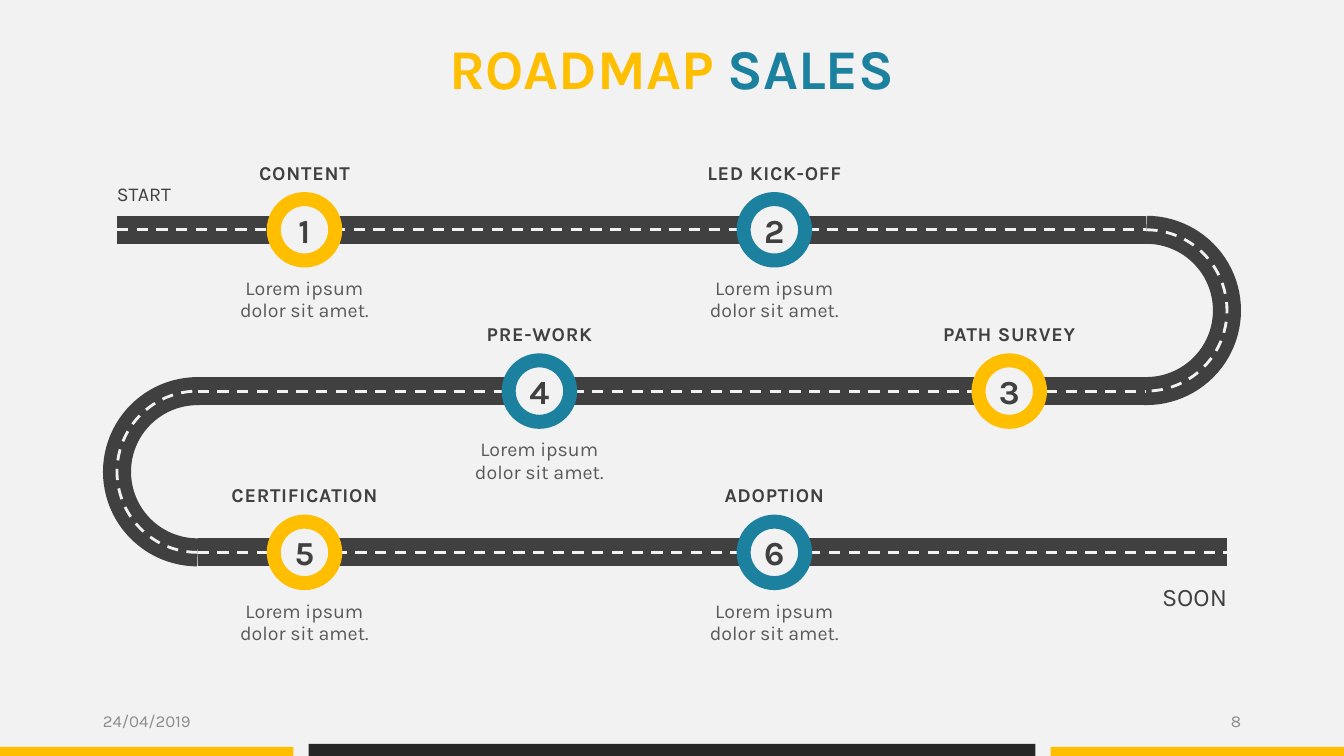
"""Build the winding sales roadmap slide."""
from dataclasses import dataclass
from typing import Optional

from lxml.etree import SubElement
from pptx import Presentation
from pptx.dml.color import RGBColor
from pptx.dml.line import LineFormat
from pptx.enum.dml import MSO_LINE_DASH_STYLE as Dash
from pptx.enum.shapes import MSO_CONNECTOR, MSO_SHAPE as Shape
from pptx.enum.text import MSO_ANCHOR as Anchor, PP_ALIGN as Align
from pptx.oxml.ns import qn
from pptx.slide import Slide
from pptx.text.text import TextFrame
from pptx.util import Inches, Pt


@dataclass(frozen=True)
class Theme:
    font: str = "Karla"
    paper: str = "F2F2F2"
    yellow: str = "FFBE00"
    teal: str = "1C819E"
    asphalt: str = "404040"
    black: str = "262626"
    body: str = "595959"
    muted: str = "8B8B8B"
    title_size: int = 40
    number_size: int = 24
    soon_size: int = 18
    text_size: int = 14
    footer_size: int = 12


@dataclass(frozen=True)
class Grid:
    width: float = 13.33
    height: float = 7.5
    first_column: float = 3.02
    column_pitch: float = 2.33
    first_row: float = 2.28
    row_pitch: float = 1.6
    road_margin: float = 1.16

    def x(self, column: int) -> float:
        return self.first_column + column * self.column_pitch

    def y(self, row: int) -> float:
        return self.first_row + row * self.row_pitch

    @property
    def road_end(self) -> float:
        return self.width - self.road_margin

    @property
    def bend_radius(self) -> float:
        return self.row_pitch / 2


@dataclass(frozen=True)
class Box:
    left: float
    top: float
    width: float
    height: float

    def emu(self) -> tuple[int, ...]:
        return tuple(Inches(v) for v in (self.left, self.top, self.width, self.height))


@dataclass(frozen=True)
class Stop:
    number: int
    label: str
    column: int
    row: int
    color: str
    detail: str = "Lorem ipsum dolor sit amet."


@dataclass(frozen=True)
class RoadLayer:
    color: str
    width: float
    dash: Optional[Dash] = None


THEME = Theme()
GRID = Grid()
ROAD_LAYERS = (
    RoadLayer(THEME.asphalt, 20),
    RoadLayer(THEME.paper, 2, Dash.DASH),
)
STOPS = (
    Stop(1, "CONTENT", 0, 0, THEME.yellow),
    Stop(2, "LED KICK-OFF", 2, 0, THEME.teal),
    Stop(3, "PATH SURVEY", 3, 1, THEME.yellow, ""),
    Stop(4, "PRE-WORK", 1, 1, THEME.teal),
    Stop(5, "CERTIFICATION", 0, 2, THEME.yellow),
    Stop(6, "ADOPTION", 2, 2, THEME.teal),
)


def fill_text(frame: TextFrame, runs: list[tuple[str, str]], *, size: float,
              bold: bool = False, align: Align = Align.LEFT, anchor: Anchor = Anchor.TOP,
              leading: Optional[float] = None, tracking: float = 0) -> None:
    frame.word_wrap = True
    frame.vertical_anchor = anchor
    frame.margin_left = frame.margin_right = frame.margin_top = frame.margin_bottom = 0
    paragraph = frame.paragraphs[0]
    paragraph.alignment = align
    if leading:
        paragraph.line_spacing = Pt(leading)
    for words, color in runs:
        run = paragraph.add_run()
        run.text = words
        run.font.name, run.font.size, run.font.bold = THEME.font, Pt(size), bold
        run.font.color.rgb = RGBColor.from_string(color)
        if tracking:
            run.font._element.set("spc", str(round(tracking * 100)))


def add_text(slide: Slide, box: Box, text: str, color: str, **style) -> None:
    fill_text(slide.shapes.add_textbox(*box.emu()).text_frame, [(text, color)], **style)


def set_line(line: LineFormat, layer: RoadLayer) -> None:
    line.color.rgb = RGBColor.from_string(layer.color)
    line.width = Pt(layer.width)
    if layer.dash:
        line.dash_style = layer.dash


def add_straight(slide: Slide, start: float, end: float, row: int, layer: RoadLayer) -> None:
    y = Inches(GRID.y(row))
    straight = slide.shapes.add_connector(
        MSO_CONNECTOR.STRAIGHT, Inches(start), y, Inches(end), y)
    set_line(straight.line, layer)
    SubElement(straight._element.spPr, qn("a:effectLst"))


def add_bend(slide: Slide, center: float, row: int, rotation: int, layer: RoadLayer) -> None:
    size = GRID.row_pitch
    box = Box(center - GRID.bend_radius, GRID.y(row), size, size)
    bend = slide.shapes.add_shape(Shape.ARC, *box.emu())
    bend.adjustments[0], bend.adjustments[1] = 162, 55
    bend.rotation = rotation
    bend.shadow.inherit = False
    bend.fill.background()
    set_line(bend.line, layer)


def add_road(slide: Slide, layer: RoadLayer) -> None:
    left_bend = GRID.road_margin + GRID.bend_radius
    right_bend = GRID.road_end - GRID.bend_radius
    add_straight(slide, GRID.road_margin, right_bend, 0, layer)
    add_bend(slide, right_bend, 0, 0, layer)
    add_straight(slide, left_bend, right_bend, 1, layer)
    add_bend(slide, left_bend, 1, 180, layer)
    add_straight(slide, left_bend, GRID.road_end, 2, layer)


def add_filled(slide: Slide, kind: Shape, box: Box, color: str,
               outline: Optional[RoadLayer] = None) -> None:
    shape = slide.shapes.add_shape(kind, *box.emu())
    shape.shadow.inherit = False
    shape.fill.solid()
    shape.fill.fore_color.rgb = RGBColor.from_string(color)
    if outline:
        set_line(shape.line, outline)
    else:
        shape.line.fill.background()


def add_stop(slide: Slide, stop: Stop) -> None:
    x, y = GRID.x(stop.column), GRID.y(stop.row)
    ring = 0.61
    heading = dict(bold=True, align=Align.CENTER, leading=20, tracking=0.5)
    add_filled(slide, Shape.OVAL, Box(x - ring / 2, y - ring / 2, ring, ring),
               THEME.paper, RoadLayer(stop.color, 10))
    add_text(slide, Box(x - 0.22, y - 0.08, 0.44, 0.28), str(stop.number), THEME.asphalt,
             size=THEME.number_size, anchor=Anchor.MIDDLE, **heading)
    add_text(slide, Box(x - 0.8, y - 0.73, 1.6, 0.28), stop.label, THEME.asphalt,
             size=THEME.text_size, **heading)
    if stop.detail:
        add_text(slide, Box(x - 0.72, y + 0.47, 1.44, 0.44), stop.detail, THEME.body,
                 size=THEME.text_size, align=Align.CENTER, leading=16)


def add_footer(slide: Slide) -> None:
    side, gap, thin, thick = 2.91, 0.15, 0.09, 0.12
    for left, width, height, color in (
        (0, side, thin, THEME.yellow),
        (side + gap, GRID.width - 2 * (side + gap), thick, THEME.black),
        (GRID.width - side, side, thin, THEME.yellow),
    ):
        add_filled(slide, Shape.RECTANGLE, Box(left, GRID.height - height, width, height), color)
    margin, width = 1.02, 2.8
    for left, text, align in ((margin, "24/04/2019", Align.LEFT),
                              (GRID.width - margin - width, "8", Align.RIGHT)):
        add_text(slide, Box(left, 6.95, width, 0.4), text, THEME.muted,
                 size=THEME.footer_size, align=align, anchor=Anchor.MIDDLE)


def main() -> None:
    deck = Presentation()
    deck.slide_width, deck.slide_height = Inches(GRID.width), Inches(GRID.height)
    slide = deck.slides.add_slide(deck.slide_layouts[5])
    slide.background.fill.solid()
    slide.background.fill.fore_color.rgb = RGBColor.from_string(THEME.paper)
    title = slide.shapes.title
    title.left, title.top, title.width, title.height = Box(0.78, 0.33, 11.77, 0.67).emu()
    fill_text(title.text_frame, [("ROADMAP ", THEME.yellow), ("SALES", THEME.teal)],
              size=THEME.title_size, bold=True, align=Align.CENTER)
    add_footer(slide)
    for layer in ROAD_LAYERS:
        add_road(slide, layer)
    for stop in STOPS:
        add_stop(slide, stop)
    add_text(slide, Box(GRID.road_margin, GRID.y(0) - 0.52, 1, 0.28), "START",
             THEME.asphalt, size=THEME.text_size, leading=20)
    add_text(slide, Box(GRID.road_end - 1, GRID.y(2) + 0.31, 1, 0.28), "SOON",
             THEME.asphalt, size=THEME.soon_size, align=Align.RIGHT, leading=20)
    deck.save("out.pptx")


if __name__ == "__main__":
    main()
